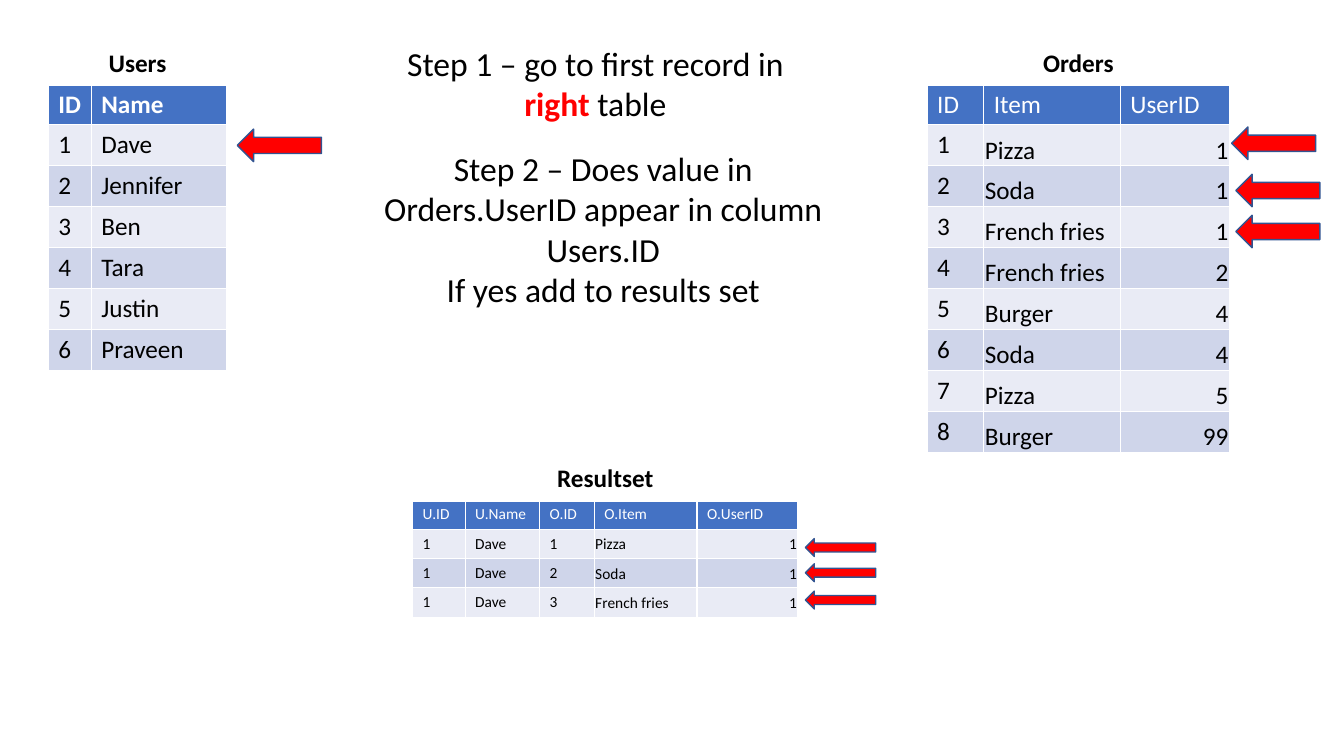
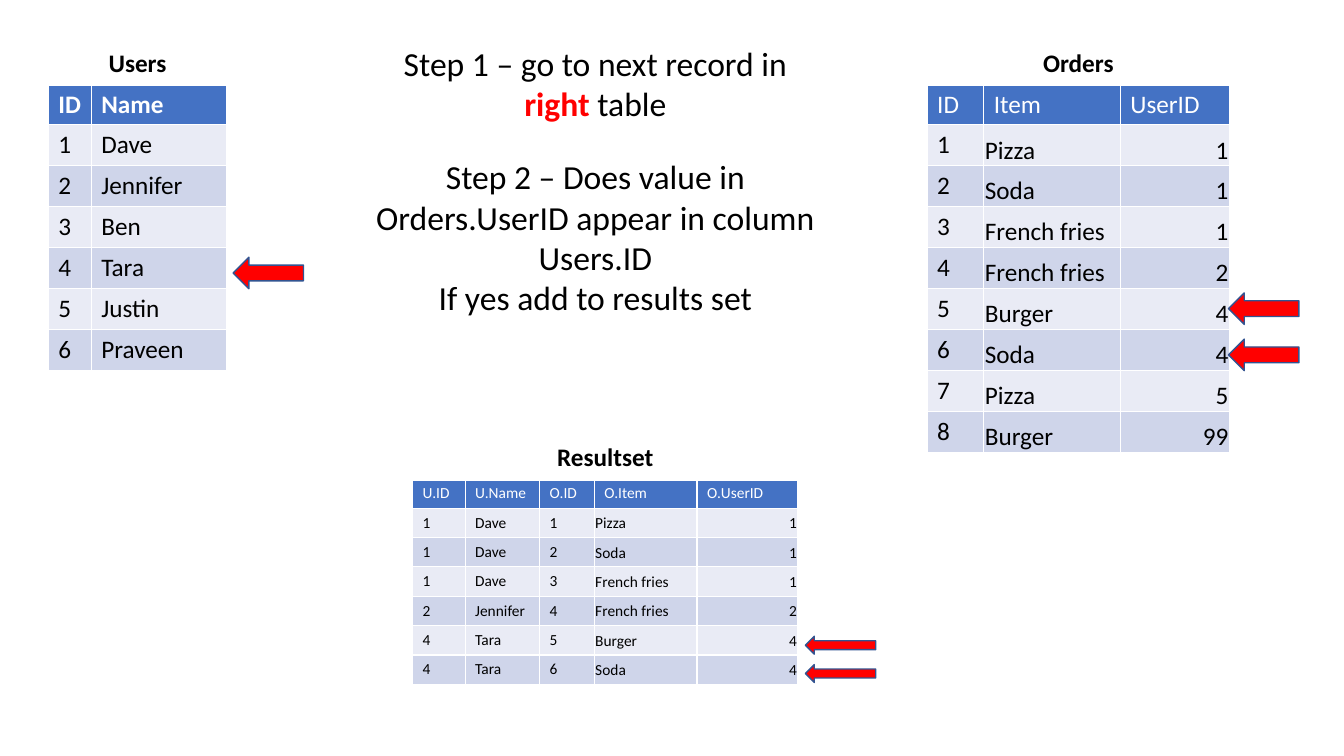
from dataclasses import dataclass

from lxml import etree
from pptx import Presentation
from pptx import util as u
from pptx.dml.color import RGBColor
from pptx.enum import shapes, text
from pptx.oxml import ns

PX = u.Inches(1) // 96


@dataclass(frozen=True)
class Theme:
    font: str = "Calibri"
    white: str = "FFFFFF"
    black: str = "000000"
    red: str = "FF0000"
    header: str = "4472C4"
    bands: tuple = ("E9EBF5", "CFD5EA")
    arrow_edge: str = "325491"
    step_size: int = 24
    table_size: int = 18
    result_size: int = 11


THEME = Theme()
ALIGN = text.PP_ALIGN
ANCHOR = text.MSO_ANCHOR


def write(para, words, size, color=THEME.black, bold=False, align=ALIGN.LEFT):
    """Append one formatted span to a paragraph and align the paragraph."""
    para.alignment = align
    span = para.add_run()
    span.text = words
    span.font.name = THEME.font
    span.font.size = u.Pt(size)
    span.font.bold = bold
    span.font.color.rgb = RGBColor.from_string(color)


def add_grid(page, title, rows, left, top, widths, row_height=39, size=THEME.table_size,
             bold_header=False, anchor=ANCHOR.TOP, tight_from=9, tight_anchor=ANCHOR.MIDDLE):
    """Add a table with a merged title row; body columns from tight_from on have thin margins."""
    rows = [[title] + [""] * (len(widths) - 1)] + rows
    frame = page.shapes.add_table(len(rows), len(widths), left * PX, top * PX, sum(widths) * PX,
                                  (39 + row_height * (len(rows) - 1)) * PX)
    table = frame.table
    table.first_row = table.horz_banding = False
    for column, width in zip(table.columns, widths):
        column.width = width * PX
    for r, values in enumerate(rows):
        table.rows[r].height = (row_height if r else 39) * PX
        for c, value in enumerate(values):
            cell = table.cell(r, c)
            properties = cell._tc.get_or_add_tcPr()
            for side in "LRTB":
                points = 3 if r == 0 and side == "B" else 1
                line = etree.SubElement(properties, ns.qn(f"a:ln{side}"), w=str(u.Pt(points)))
                fill = etree.SubElement(line, ns.qn("a:solidFill"))
                etree.SubElement(fill, ns.qn("a:srgbClr"), val=THEME.white)
            cell.fill.solid()
            band = (THEME.white, THEME.header)[r] if r < 2 else THEME.bands[r % 2]
            cell.fill.fore_color.rgb = RGBColor.from_string(band)
            cell.vertical_anchor = anchor
            align = ALIGN.LEFT if r else ALIGN.CENTER
            if r > 1 and c >= tight_from:
                cell.vertical_anchor = tight_anchor
                cell.margin_left = cell.margin_right = cell.margin_top = PX
                cell.margin_bottom = 0
                if c == len(widths) - 1:
                    align = ALIGN.RIGHT
            if value != "":
                write(cell.text_frame.paragraphs[0], str(value), size if r else THEME.table_size,
                      color=THEME.white if r == 1 else THEME.black,
                      bold=r == 0 or (r == 1 and bold_header), align=align)
    table.cell(0, 0).merge(table.cell(0, len(widths) - 1))


users = list(enumerate(["Dave", "Jennifer", "Ben", "Tara", "Justin", "Praveen"], 1))
orders = [
    (1, "Pizza", 1), (2, "Soda", 1), (3, "French fries", 1), (4, "French fries", 2),
    (5, "Burger", 4), (6, "Soda", 4), (7, "Pizza", 5), (8, "Burger", 99),
]
names = dict(users)
joined = [(user, names[user], order, item, user) for order, item, user in orders if user in names]

# Boxes are left, top, width, height; arrows share a size per group.
steps = [
    dict(record="first", step_box=(332, 136, 485, 165), result_top=437, found=3,
         arrows=[((80, 31), [(226, 123), (1173, 121), (1177, 166), (1177, 205)]),
                 ((67, 17), [(767, 513), (767, 537), (767, 563)])]),
    dict(record="next", step_box=(339, 144, 456, 165), result_top=417, found=6,
         arrows=[((67, 30), [(222, 245), (1170, 279), (1170, 323)]),
                 ((67, 17), [(767, 606), (767, 633)])]),
]

deck = Presentation()
deck.slide_width, deck.slide_height = 1280 * PX, 720 * PX

for step in steps:
    page = deck.slides.add_slide(deck.slide_layouts[1])
    title, body = page.placeholders
    for box, place in ((title, (367, 36, 400, 87)), (body, step["step_box"])):
        box.left, box.top, box.width, box.height = (length * PX for length in place)
        box.text_frame.word_wrap = True
        box.text_frame.auto_size = text.MSO_AUTO_SIZE.SHAPE_TO_FIT_TEXT
        box.text_frame.vertical_anchor = ANCHOR.TOP

    para = title.text_frame.paragraphs[0]
    write(para, f"Step 1 – go to {step['record']} record in ", THEME.step_size, align=ALIGN.CENTER)
    write(para, "right", THEME.step_size, color=THEME.red, bold=True, align=ALIGN.CENTER)
    write(para, " table", THEME.step_size, align=ALIGN.CENTER)

    lines = ["Step 2 – Does value in Orders.UserID appear in column", "Users.ID",
             "If yes add to results set"]
    for i, words in enumerate(lines):
        para = body.text_frame.add_paragraph() if i else body.text_frame.paragraphs[0]
        write(para, words, THEME.step_size, align=ALIGN.CENTER)
        para.space_before = 0
        properties = para._p.get_or_add_pPr()
        properties.set("marL", "0")
        properties.set("indent", "0")
        etree.SubElement(properties, ns.qn("a:buNone"))

    add_grid(page, "Users", [("ID", "Name")] + users, 46, 41, (41, 129), bold_header=True)
    add_grid(page, "Orders", [("ID", "Item", "UserID")] + orders, 883, 41, (54, 130, 104),
             tight_from=1, tight_anchor=ANCHOR.BOTTOM)
    add_grid(page, "Resultset",
             [("U.ID", "U.Name", "O.ID", "O.Item", "O.UserID")] + joined[:step["found"]],
             393, step["result_top"], (50, 71, 52, 98, 96), row_height=28,
             size=THEME.result_size, anchor=ANCHOR.MIDDLE, tight_from=3)

    for (width, height), places in step["arrows"]:
        for left, top in places:
            arrow = page.shapes.add_shape(shapes.MSO_SHAPE.LEFT_ARROW, left * PX, top * PX,
                                          width * PX, height * PX)
            arrow.shadow.inherit = False
            arrow.fill.solid()
            arrow.fill.fore_color.rgb = RGBColor.from_string(THEME.red)
            arrow.line.color.rgb = RGBColor.from_string(THEME.arrow_edge)
            arrow.line.width = u.Pt(1)

deck.save("out.pptx")
